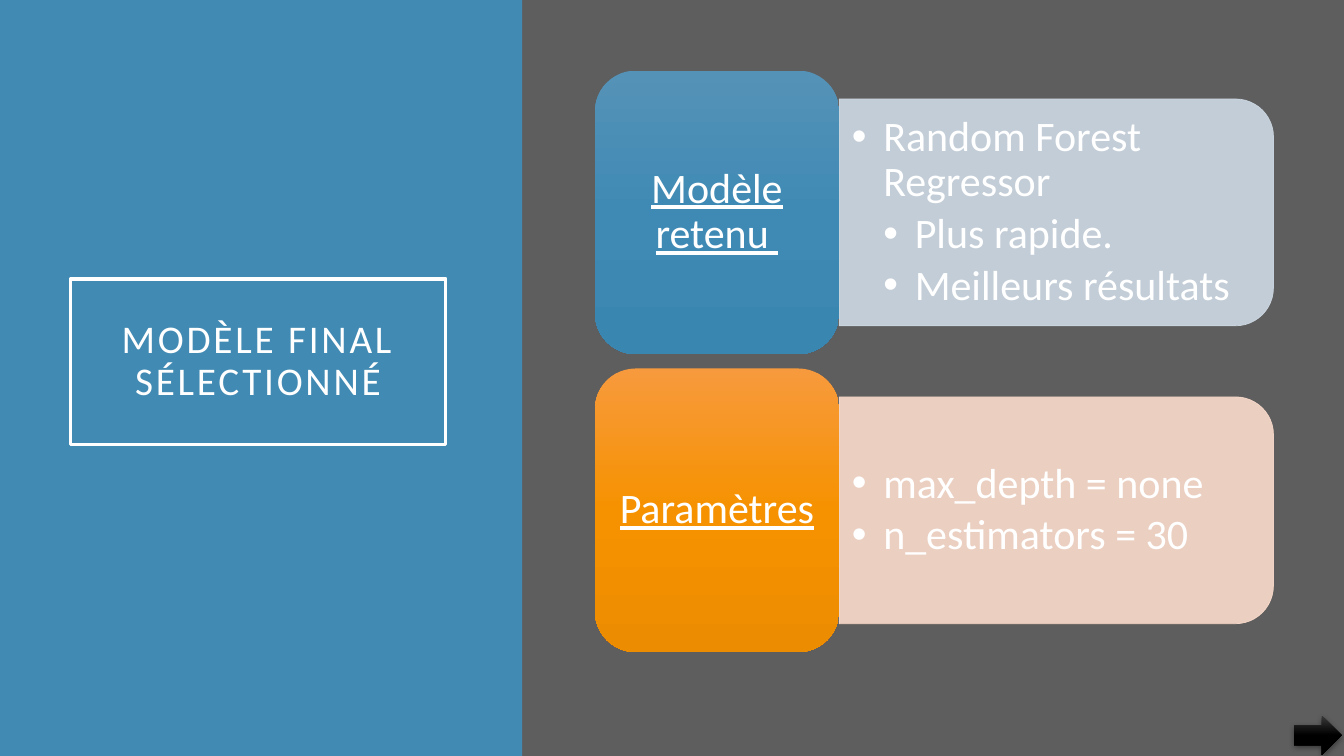
"""Build the slide presenting the selected final model and its parameters."""
from lxml.etree import SubElement
from pptx import Presentation
from pptx.dml.color import RGBColor
from pptx.enum.shapes import MSO_SHAPE
from pptx.enum.text import MSO_ANCHOR, PP_ALIGN
from pptx.oxml.ns import qn
from pptx.util import Pt

WHITE = RGBColor(0xFF, 0xFF, 0xFF)
GREY = RGBColor(0x5E, 0x5E, 0x5E)
BLUE = RGBColor(0x41, 0x8A, 0xB3)
PALE_BLUE = RGBColor(0xCF, 0xDA, 0xE5)
PALE_ORANGE = RGBColor(0xFB, 0xDC, 0xCC)
BLUE_STOPS = [RGBColor(0x55, 0x92, 0xB7), RGBColor(0x3F, 0x8A, 0xB5), RGBColor(0x39, 0x86, 0xB1)]
ORANGE_STOPS = [RGBColor(0xF7, 0x9A, 0x3D), RGBColor(0xF6, 0x92, 0x00), RGBColor(0xEC, 0x8C, 0x00)]
BLACK_STOPS = [RGBColor(0x39, 0x39, 0x39), RGBColor(0, 0, 0), RGBColor(0, 0, 0)]

prs = Presentation()
prs.slide_width, prs.slide_height = Pt(960), Pt(540)
s = prs.slides.add_slide(prs.slide_layouts[6])
s.background.fill.solid()
s.background.fill.fore_color.rgb = GREY


def add_block(kind, left, top, width, height, colors):
    sp = s.shapes.add_shape(kind, Pt(left), Pt(top), Pt(width), Pt(height))
    sp.shadow.inherit = False
    sp.line.fill.background()
    if len(colors) == 1:
        sp.fill.solid()
        sp.fill.fore_color.rgb = colors[0]
    elif colors:
        sp.fill.gradient()
        sp.fill.gradient_angle = 270
        stops = sp._element.spPr.find(".//" + qn("a:gsLst"))
        stops.clear()
        for i, color in enumerate(colors):
            gs = SubElement(stops, qn("a:gs"), pos=str(i * 50000))
            SubElement(gs, qn("a:srgbClr"), val=str(color))
    else:
        sp.fill.background()
    return sp


def write(sp, lines, size, align, after, inset_x, inset_y):
    tf = sp.text_frame
    tf.word_wrap = True
    tf.vertical_anchor = MSO_ANCHOR.MIDDLE
    tf.margin_left = tf.margin_right = Pt(inset_x)
    tf.margin_top = tf.margin_bottom = Pt(inset_y)
    tf.text = "\n".join(lines)
    for p in tf.paragraphs:
        p.alignment, p.line_spacing, p.space_after = align, 0.9, Pt(after)
        for r in p.runs:
            r.font.name, r.font.size, r.font.color.rgb = "Calibri", Pt(size), WHITE
    return tf


add_block(MSO_SHAPE.RECTANGLE, 0, 0, 373, 540, [BLUE])
add_block(MSO_SHAPE.RECTANGLE, 374, 0, 586, 540, [GREY])

title = add_block(MSO_SHAPE.RECTANGLE, 50.4, 199.2, 268, 118.2, [])
title.line.color.rgb = WHITE
title.line.width = Pt(2.5)
tf = write(title, ["MODÈLE FINAL SÉLECTIONNÉ"], 28, PP_ALIGN.CENTER, 0, 14.4, 14.4)
tf.paragraphs[0].runs[0].font._element.set("spc", "200")

TILE_LEFT, TILE_TOP, TILE_W, TILE_H, PITCH = 425, 50.4, 174.4, 202.6, 212.8
PANEL_LEFT, PANEL_W, PANEL_H = TILE_LEFT + TILE_W, 310.2, 162
BODY_W, BODY_H, INDENT = 302.4, 146.2, 22.5

sections = [
    ("Modèle retenu ", BLUE_STOPS, PALE_BLUE,
     [(1, "Random Forest Regressor"), (2, "Plus rapide."), (2, "Meilleurs résultats")]),
    ("Paramètres", ORANGE_STOPS, PALE_ORANGE,
     [(1, "max_depth = none"), (1, "n_estimators = 30")]),
]

for row, (heading, stops, pale, items) in enumerate(sections):
    top = TILE_TOP + row * PITCH
    middle = top + TILE_H / 2

    panel = add_block(MSO_SHAPE.ROUND_2_SAME_RECTANGLE, PANEL_LEFT + (PANEL_W - PANEL_H) / 2,
                      middle - PANEL_W / 2, PANEL_H, PANEL_W, [pale])
    panel.rotation = 90
    panel.line.color.rgb = pale
    panel.line.width = Pt(0.5)
    for clr in panel._element.spPr.iter(qn("a:srgbClr")):
        SubElement(clr, qn("a:alpha"), val="90000")

    body = s.shapes.add_textbox(Pt(PANEL_LEFT), Pt(middle - BODY_H / 2), Pt(BODY_W), Pt(BODY_H))
    tf = write(body, [text for _, text in items], 30, PP_ALIGN.LEFT, 4.5, 9, 4.5)
    for p, (level, _) in zip(tf.paragraphs, items):
        p.level = level
        pPr = p._p.get_or_add_pPr()
        pPr.set("marL", str(Pt(level * INDENT)))
        pPr.set("indent", str(-Pt(INDENT)))
        SubElement(pPr, qn("a:buFont"), typeface="Arial")
        SubElement(pPr, qn("a:buChar"), char="•")

    tile = add_block(MSO_SHAPE.ROUNDED_RECTANGLE, TILE_LEFT, top, TILE_W, TILE_H, stops)
    tf = write(tile, [heading], 30, PP_ALIGN.CENTER, 0, 9, 4.5)
    tf.paragraphs[0].runs[0].font.underline = True

arrow = add_block(MSO_SHAPE.RIGHT_ARROW, 924.5, 511.2, 33.8, 28, BLACK_STOPS)
effects = arrow._element.spPr.find(qn("a:effectLst"))
shadow = SubElement(effects, qn("a:outerShdw"), blurRad=str(Pt(4.4)), dist=str(Pt(1.2)),
                    dir="5400000", algn="ctr", rotWithShape="0")
SubElement(SubElement(shadow, qn("a:srgbClr"), val="000000"), qn("a:alpha"), val="45000")

prs.save("out.pptx")
